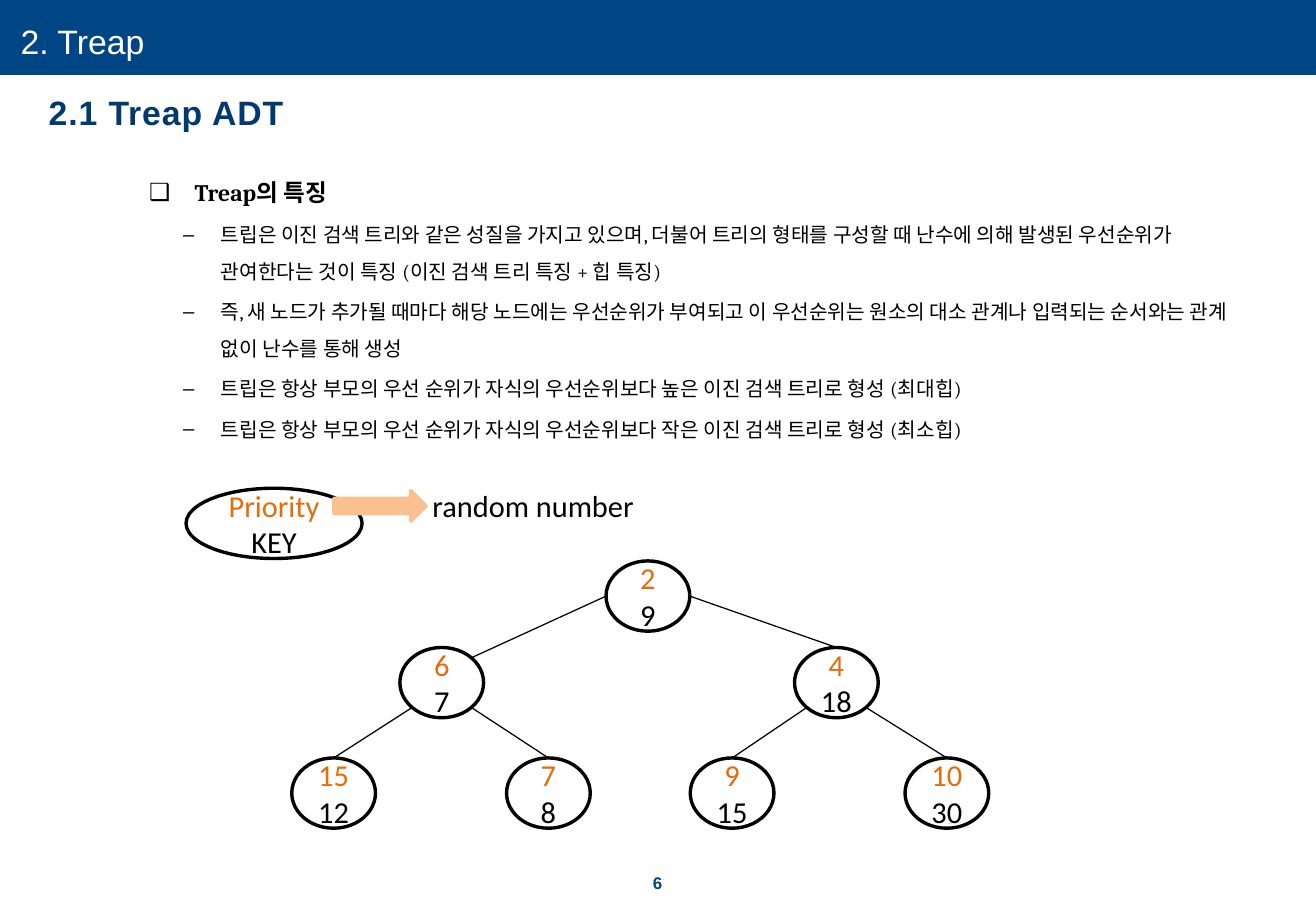
"""Build the slide that introduces the treap and its properties."""
import math

import pptx
import pptx.util
import pptx.dml.color
import pptx.enum.shapes
import pptx.enum.text
import pptx.oxml
import pptx.oxml.ns
from pptx.util import Cm, Pt

COLORS = {
    "header": "004685",
    "heading": "003A70",
    "white": "FFFFFF",
    "black": "000000",
    "priority": "E46C0A",
    "arrow": "FAC090",
}
NODE_WIDTH, NODE_HEIGHT = 1.75, 1.47
DIAGONAL = math.sqrt(0.5)
ANCHORS = {
    "top": (0, -1),
    "left": (-1, 0),
    "right": (1, 0),
    "top right": (DIAGONAL, -DIAGONAL),
    "bottom left": (-DIAGONAL, DIAGONAL),
    "bottom right": (DIAGONAL, DIAGONAL),
}
NODES = {
    "root": (12.67, 11.73, "2", "9"),
    "left": (8.36, 13.54, "6", "7"),
    "right": (16.61, 13.54, "4", "18"),
    "left left": (6.1, 15.85, "15", "12"),
    "left right": (10.59, 15.85, "7", "8"),
    "right left": (14.43, 15.85, "9", "15"),
    "right right": (18.92, 15.85, "10", "30"),
}
EDGES = [
    ("root", "left", "left", "top right"),
    ("root", "right", "right", "top"),
    ("left", "bottom left", "left left", "top"),
    ("left", "bottom right", "left right", "top"),
    ("right", "bottom left", "right left", "top"),
    ("right", "bottom right", "right right", "top"),
]
FEATURES = [
    "트립은 이진 검색 트리와 같은 성질을 가지고 있으며, 더불어 트리의 형태를 구성할 때 난수에 의해 발생된 "
    "우선순위가 관여한다는 것이 특징 (이진 검색 트리 특징 + 힙 특징)",
    "즉, 새 노드가 추가될 때마다 해당 노드에는 우선순위가 부여되고 이 우선순위는 원소의 대소 관계나 "
    "입력되는 순서와는 관계 없이 난수를 통해 생성",
    "트립은 항상 부모의 우선 순위가 자식의 우선순위보다 높은 이진 검색 트리로 형성 (최대힙)",
    "트립은 항상 부모의 우선 순위가 자식의 우선순위보다 작은 이진 검색 트리로 형성 (최소힙)",
]


def color(name):
    """Return the named colour."""
    return pptx.dml.color.RGBColor.from_string(COLORS[name])


class SlideBuilder:
    """Hold the slide and draw each kind of element on it."""

    def __init__(self, slide):
        """Keep the slide to draw on."""
        self.slide = slide

    def run(self, paragraph, text, size, font, tint, bold=False, spacing=0):
        """Add one styled run to a paragraph."""
        run = paragraph.add_run()
        run.text = text
        run.font.size = Pt(size)
        run.font.name = font
        run.font.bold = bold
        run.font.color.rgb = color(tint)
        if spacing:
            run.font._element.set("spc", str(int(spacing * 100)))

    def box(self, left, top, width, height, wrap=True, margins=True):
        """Add an empty text box and return its frame."""
        shape = self.slide.shapes.add_textbox(Cm(left), Cm(top), Cm(width), Cm(height))
        frame = shape.text_frame
        frame.word_wrap = wrap
        if not margins:
            frame.margin_left = frame.margin_right = 0
            frame.margin_top = frame.margin_bottom = 0
        return frame

    def label(self, left, top, width, height, text, size, tint, bold=False, spacing=0):
        """Add a one-line Arial label without margins."""
        frame = self.box(left, top, width, height, margins=False)
        self.run(frame.paragraphs[0], text, size, "Arial", tint, bold, spacing)
        return frame

    def bullet(self, paragraph, sign, indent, hanging):
        """Give a paragraph a bullet sign with a hanging indent."""
        properties = paragraph._p.get_or_add_pPr()
        properties.set("marL", str(Cm(indent)))
        properties.set("indent", str(-Cm(hanging)))
        namespace = pptx.oxml.ns.nsdecls("a")
        properties.append(pptx.oxml.parse_xml(f'<a:buFont {namespace} typeface="Arial"/>'))
        properties.append(pptx.oxml.parse_xml(f'<a:buChar {namespace} char="{sign}"/>'))
        paragraph.line_spacing = 1.5

    def shape(self, kind, left, top, width, height, fill=None, line=None):
        """Add a preset shape with a plain fill and outline."""
        shape = self.slide.shapes.add_shape(kind, Cm(left), Cm(top), Cm(width), Cm(height))
        shape.shadow.inherit = False
        if fill:
            shape.fill.solid()
            shape.fill.fore_color.rgb = color(fill)
        else:
            shape.fill.background()
        if line:
            shape.line.color.rgb = color(line)
            shape.line.width = Pt(2)
        else:
            shape.line.fill.background()
        return shape

    def node(self, left, top, priority, key, width=NODE_WIDTH):
        """Add an ellipse with a priority above a key."""
        ellipse = pptx.enum.shapes.MSO_SHAPE.OVAL
        shape = self.shape(ellipse, left, top, width, NODE_HEIGHT, line="black")
        frame = shape.text_frame
        frame.vertical_anchor = pptx.enum.text.MSO_ANCHOR.MIDDLE
        rows = [(frame.paragraphs[0], priority, "priority"), (frame.add_paragraph(), key, "black")]
        for paragraph, text, tint in rows:
            paragraph.alignment = pptx.enum.text.PP_ALIGN.CENTER
            self.run(paragraph, text, 18, "Calibri", tint)

    def edge(self, parent, parent_anchor, child, child_anchor):
        """Draw a line between the outlines of two nodes."""
        ends = []
        for name, anchor in ((parent, parent_anchor), (child, child_anchor)):
            left, top = NODES[name][:2]
            across, down = ANCHORS[anchor]
            ends.append(Cm(left + NODE_WIDTH * (1 + across) / 2))
            ends.append(Cm(top + NODE_HEIGHT * (1 + down) / 2))
        straight = pptx.enum.shapes.MSO_CONNECTOR.STRAIGHT
        connector = self.slide.shapes.add_connector(straight, *ends)
        connector.line.color.rgb = color("black")
        connector.line.width = Pt(0.75)
        effects = pptx.oxml.parse_xml(f'<a:effectLst {pptx.oxml.ns.nsdecls("a")}/>')
        connector._element.spPr.append(effects)


def main():
    """Build and save the presentation."""
    presentation = pptx.Presentation()
    presentation.slide_width = Cm(27.51)
    presentation.slide_height = Cm(19.05)
    slide = presentation.slides.add_slide(presentation.slide_layouts[6])
    builder = SlideBuilder(slide)
    shapes = pptx.enum.shapes.MSO_SHAPE

    builder.shape(shapes.RECTANGLE, 0, 0, 27.51, 1.57, fill="header")
    page_number = builder.label(13.65, 18.29, 0.4, 0.38, "6", 10, "header", True, 0.5)
    page_number.paragraphs[0].line_spacing = Pt(10.9)
    builder.label(0.43, 0.43, 7.26, 0.86, "2. Treap", 20, "white")
    builder.label(1.02, 1.91, 16.79, 0.86, "2.1 Treap ADT", 20, "heading", True, 0.5)

    body = builder.box(2.87, 3.3, 23.16, 5.13)
    title = body.paragraphs[0]
    builder.bullet(title, "❑", 0.95, 0.95)
    builder.run(title, "Treap의 특징", 14, "Cambria", "black", True)
    for feature in FEATURES:
        paragraph = body.add_paragraph()
        paragraph.level = 1
        builder.bullet(paragraph, "–", 1.5, 0.79)
        paragraph.space_before = Pt(2.4)
        builder.run(paragraph, feature, 12, "Cambria", "black")

    for node in NODES.values():
        builder.node(*node)
    for edge in EDGES:
        builder.edge(*edge)

    builder.node(3.89, 10.21, "Priority", "KEY", width=3.68)
    builder.shape(shapes.RIGHT_ARROW, 6.98, 10.26, 1.93, 0.64, fill="arrow", line="arrow")
    caption = builder.box(8.79, 10.06, 4.78, 1.02, wrap=False)
    builder.run(caption.paragraphs[0], "random number", 18, "Calibri", "black")
    presentation.save("out.pptx")


if __name__ == "__main__":
    main()
